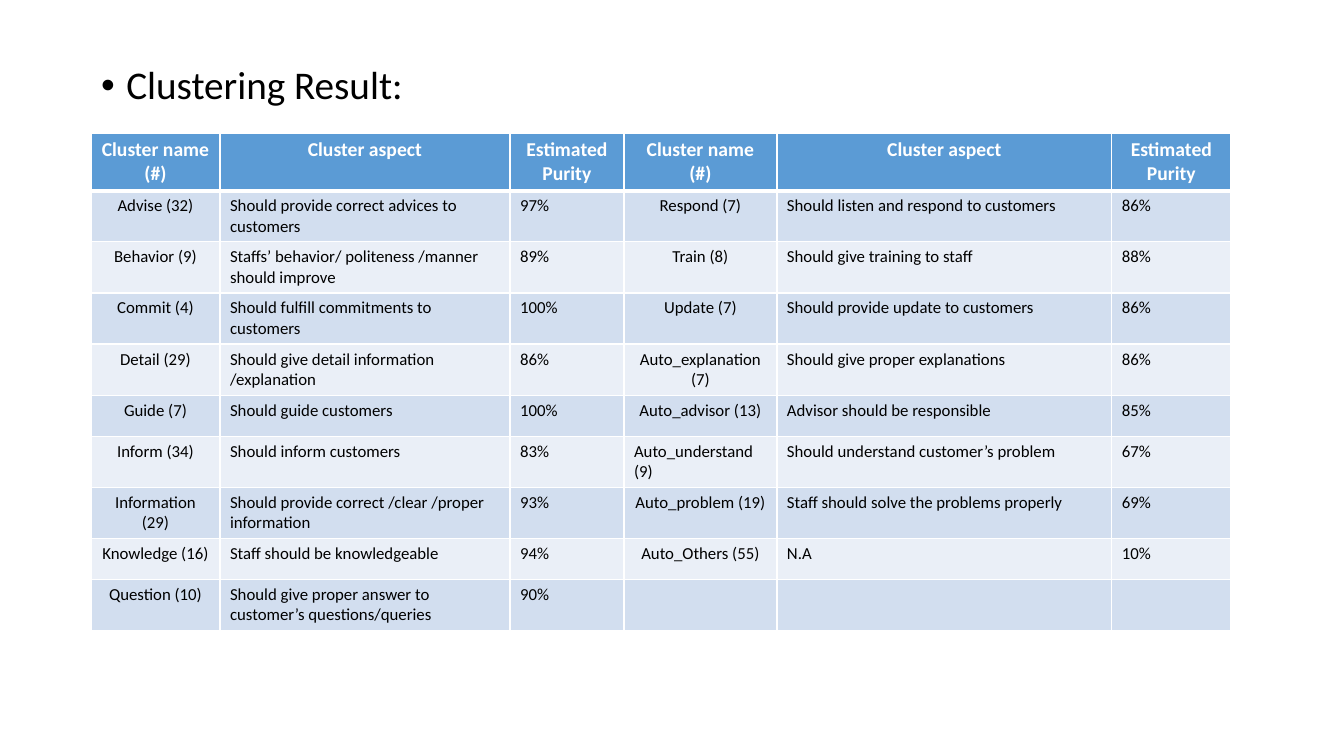
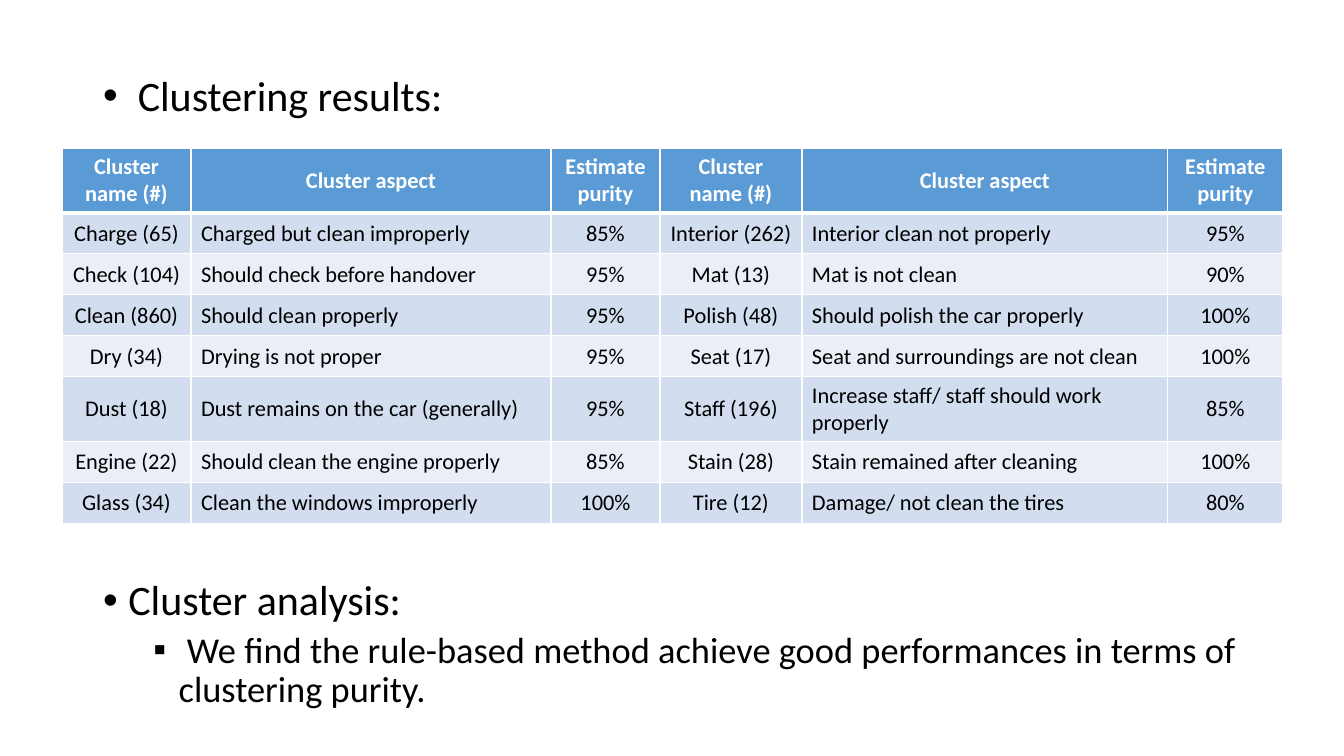
"""Builds two slides of clustering results, each a bulleted heading with a table."""
from lxml import etree
from pptx import Presentation
from pptx import util as u
from pptx.dml.color import RGBColor
from pptx.enum import text
from pptx.oxml.ns import qn

SCALE = 914400 / 100.8
FONT = "Calibri"
BLACK = RGBColor(0, 0, 0)
WHITE = RGBColor(255, 255, 255)
BLUE = RGBColor(0x5B, 0x9B, 0xD5)
BANDS = RGBColor(0xD2, 0xDE, 0xEF), RGBColor(0xEA, 0xEF, 0xF7)
ALIGN = {"l": text.PP_ALIGN.LEFT, "c": text.PP_ALIGN.CENTER}
ROW = 41

STAFF_ROWS = [
    ("Cluster name (#)", "Cluster aspect", "Estimated Purity") * 2,
    ("Advise (32)", "Should provide correct advices to customers", "97%",
     "Respond (7)", "Should listen and respond to customers", "86%"),
    ("Behavior (9)", "Staffs’ behavior/ politeness /manner should improve", "89%",
     "Train (8)", "Should give training to staff", "88%"),
    ("Commit (4)", "Should fulfill commitments to customers", "100%",
     "Update (7)", "Should provide update to customers", "86%"),
    ("Detail (29)", "Should give detail information /explanation", "86%",
     "Auto_explanation (7)", "Should give proper explanations", "86%"),
    ("Guide (7)", "Should guide customers", "100%",
     "Auto_advisor (13)", "Advisor should be responsible", "85%"),
    ("Inform (34)", "Should inform customers", "83%",
     "Auto_understand (9)", "Should understand customer’s problem", "67%"),
    ("Information (29)", "Should provide correct /clear /proper information", "93%",
     "Auto_problem (19)", "Staff should solve the problems properly", "69%"),
    ("Knowledge (16)", "Staff should be knowledgeable", "94%",
     "Auto_Others (55)", "N.A", "10%"),
    ("Question (10)", "Should give proper answer to customer’s questions/queries", "90%",
     "", "", ""),
]
CLEANING_ROWS = [
    ("Cluster name (#)", "Cluster aspect", "Estimate purity") * 2,
    ("Charge (65)", "Charged but clean improperly", "85%",
     "Interior (262)", "Interior clean not properly", "95%"),
    ("Check (104)", "Should check before handover", "95%",
     "Mat (13)", "Mat is not clean", "90%"),
    ("Clean (860)", "Should clean properly", "95%",
     "Polish (48)", "Should polish the car properly", "100%"),
    ("Dry (34)", "Drying is not proper", "95%",
     "Seat (17)", "Seat and surroundings are not clean", "100%"),
    ("Dust (18)", "Dust remains on the car (generally)", "95%",
     "Staff (196)", "Increase staff/ staff should work properly", "85%"),
    ("Engine (22)", "Should clean the engine properly", "85%",
     "Stain (28)", "Stain remained after cleaning", "100%"),
    ("Glass (34)", "Clean the windows improperly", "100%",
     "Tire (12)", "Damage/ not clean the tires", "80%"),
]


def px(length):
    return u.Emu(round(length * SCALE))


def write(para, words, size, color=BLACK, bold=False, align="l"):
    para.alignment = ALIGN[align]
    if words:
        span = para.add_run()
        span.text = words
        font = span.font
        font.name, font.size, font.bold = FONT, u.Pt(size), bold
        font.color.rgb = color


def border(cell, side, width):
    props = cell._tc.get_or_add_tcPr()
    line = etree.SubElement(props, qn(f"a:ln{side}"), w=str(u.Pt(width)))
    fill = etree.SubElement(line, qn("a:solidFill"))
    etree.SubElement(fill, qn("a:srgbClr"), val=str(WHITE))


class Deck:
    """Holds the shared style and the current slide."""

    def __init__(self):
        self.deck = Presentation()
        self.deck.slide_width, self.deck.slide_height = px(1344), px(756)

    def add_page(self):
        self.page = self.deck.slides.add_slide(self.deck.slide_layouts[1])
        title = self.page.shapes.title._element
        title.getparent().remove(title)

    def body(self, left, top, width, height):
        box = self.page.placeholders[1]
        box.left, box.top, box.width, box.height = map(px, (left, top, width, height))
        self.frame = box.text_frame
        self.frame.word_wrap = True
        self.frame.auto_size = text.MSO_AUTO_SIZE.NONE
        self.frame.vertical_anchor = text.MSO_ANCHOR.TOP

    def bullet(self, words, size, level=0, before=10, mark="•"):
        para = self.frame.paragraphs[0]
        if para.runs:
            para = self.frame.add_paragraph()
        write(para, words, size)
        para.level = level
        para.line_spacing, para.space_before = 0.9, u.Pt(before)
        props = para._p.get_or_add_pPr()
        props.set("marL", str(u.Inches(0.25 + 0.5 * level)))
        props.set("indent", str(u.Inches(-0.25)))
        etree.SubElement(props, qn("a:buFont"), typeface="Arial")
        etree.SubElement(props, qn("a:buChar"), char=mark)

    def table(self, left, top, widths, rows, sizes, aligns, anchor):
        table = self.page.shapes.add_table(
            len(rows), len(widths), px(left), px(top),
            px(sum(widths)), px(ROW * len(rows))).table
        table.first_row = table.horz_banding = False
        for column, width in zip(table.columns, widths):
            column.width = px(width)
        for r, row in enumerate(rows):
            table.rows[r].height = px(ROW)
            head = r == 0
            for c, words in enumerate(row):
                cell = table.cell(r, c)
                cell.vertical_anchor = anchor
                for side, width in zip("LRTB", (1, 1, 3 if r == 1 else 1, 3 if head else 1)):
                    border(cell, side, width)
                cell.fill.solid()
                cell.fill.fore_color.rgb = BLUE if head else BANDS[(r - 1) % 2]
                write(cell.text_frame.paragraphs[0], words, sizes[min(r, 1)],
                      color=WHITE if head else BLACK, bold=head,
                      align="c" if head else aligns[c])
        return table


def main():
    show = Deck()

    show.add_page()
    show.body(91, 61, 1159, 480)
    show.bullet("Clustering Result:", 28)
    staff = show.table(91, 133, (129, 290, 114, 153, 335, 119), STAFF_ROWS,
                       sizes=(14, 12), aligns="cllcll", anchor=text.MSO_ANCHOR.TOP)
    staff.cell(6, 3).text_frame.paragraphs[0].alignment = ALIGN["l"]

    show.add_page()
    show.body(93, 70, 1159, 648)
    show.bullet(" Clustering results:", 30)
    show.bullet("Cluster analysis:", 30, before=328)
    show.bullet(" We find the rule-based method achieve good performances in terms of "
                "clustering purity.", 26, level=1, before=5, mark="▪")
    show.table(62, 148, (129, 360, 109, 142, 366, 115), CLEANING_ROWS,
               sizes=(16, 16), aligns="clcclc", anchor=text.MSO_ANCHOR.MIDDLE)

    show.deck.save("out.pptx")


main()
